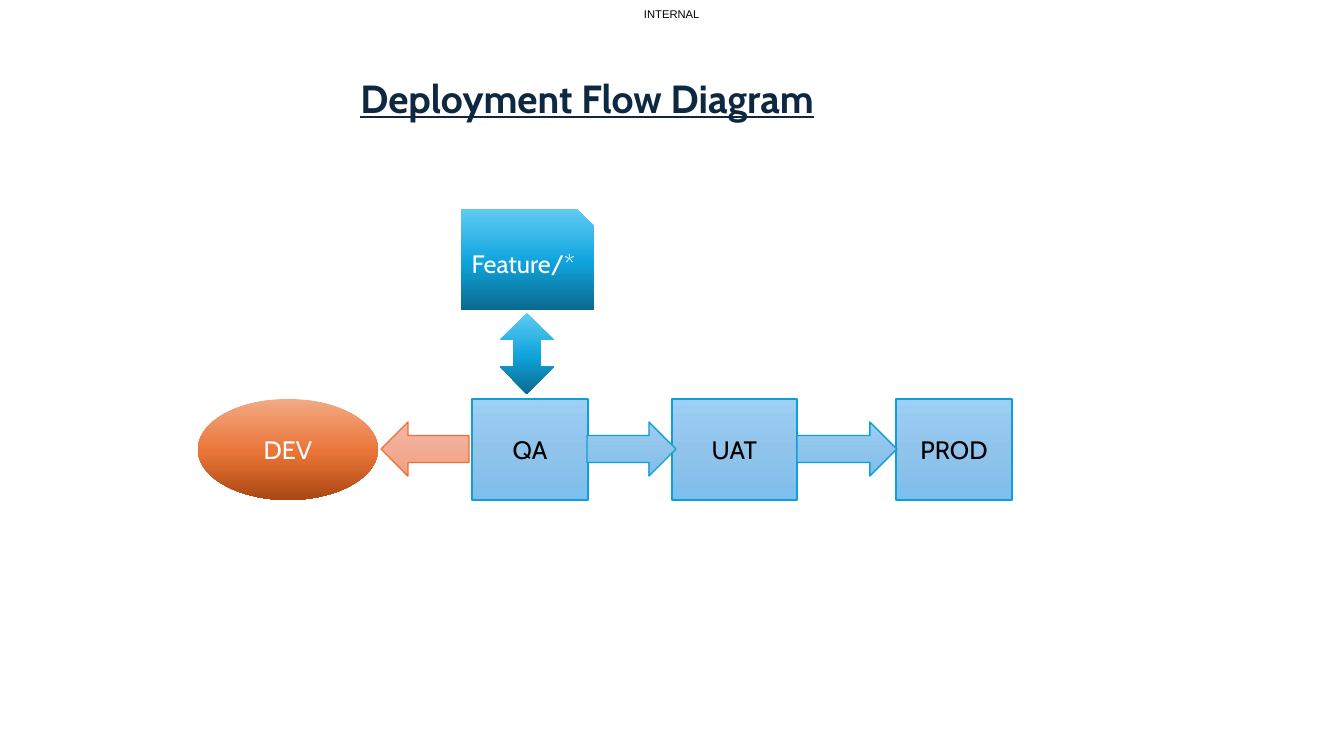
import copy

import pptx
import pptx.dml.color
import pptx.enum.shapes
import pptx.enum.text
import pptx.oxml.ns
import pptx.util

SCALE = 914400 / 100.8
KIND = pptx.enum.shapes.MSO_SHAPE
ALIGN = pptx.enum.text.PP_ALIGN
ANCHOR = pptx.enum.text.MSO_ANCHOR

PALE_BLUE = [(0, "9ECFF5"), (0.5, "90C4EB"), (1, "7CBEED")]
PALE_ORANGE = [(0, "F5B8A5"), (0.5, "F2AB96"), (1, "F59E82")]
DEEP_BLUE = [(0, "61CBF4"), (0.52, "10A4DD"), (1, "0A6A8F")]
DEEP_ORANGE = [(0, "F2AA84"), (0.52, "EA7538"), (1, "AB4712")]
BLUE_LINE = "0F9ED5"
ORANGE_LINE = "E97132"


def px(length):
    return pptx.util.Emu(round(length * SCALE))


def colour(code):
    return pptx.dml.color.RGBColor.from_string(code)


def place(shape, box):
    shape.left, shape.top, shape.width, shape.height = map(px, box)


def write(shape, words, size, code, font="Cabin", align=ALIGN.CENTER):
    para = shape.text_frame.paragraphs[0]
    para.alignment = align
    span = para.add_run()
    span.text = words
    span.font.name = font
    span.font.size = pptx.util.Pt(size)
    span.font.color.rgb = colour(code)
    return span


def paint(shape, stops):
    fill = shape.fill
    fill.gradient()
    fill.gradient_angle = 270
    stop_list = next(shape._element.spPr.iter(pptx.oxml.ns.qn("a:gsLst")))
    stop_list.append(copy.deepcopy(stop_list[-1]))
    for stop, (position, code) in zip(fill.gradient_stops, stops):
        stop.position = position
        stop.color.rgb = colour(code)


def add_block(page, kind, box, stops, line=None, words="", ink="000000"):
    shape = page.shapes.add_shape(kind, *map(px, box))
    shape.shadow.inherit = False
    paint(shape, stops)
    if line:
        shape.line.color.rgb = colour(line)
        shape.line.width = pptx.util.Pt(1)
    else:
        shape.line.fill.background()
    if words:
        shape.text_frame.word_wrap = True
        shape.text_frame.vertical_anchor = ANCHOR.MIDDLE
        write(shape, words, 18, ink)


def add_label(page, box):
    label = page.shapes.add_textbox(*map(px, box))
    frame = label.text_frame
    frame.margin_left = frame.margin_right = 0
    frame.margin_top = frame.margin_bottom = 0
    frame.word_wrap = False
    write(label, "INTERNAL", 8, "000000", "Arial", ALIGN.LEFT)


def add_title(page, box):
    title = page.shapes.title
    place(title, box)
    title.text_frame.auto_size = pptx.enum.text.MSO_AUTO_SIZE.NONE
    title.text_frame.vertical_anchor = ANCHOR.TOP
    span = write(title, "Deployment Flow Diagram", 28, "0E2841")
    span.font.bold = True
    span.font.underline = True


def add_environments(page, box):
    left, top, width, height = box
    for offset, breadth, words in [(274, 116, "QA"), (698, 116, "PROD"), (474, 125, "UAT")]:
        add_block(page, KIND.RECTANGLE, (left + offset, top, breadth, height),
                  PALE_BLUE, BLUE_LINE, words)
    add_block(page, KIND.OVAL, (left, top, 180, height), DEEP_ORANGE,
              words="DEV", ink="FFFFFF")
    arrows = [
        (KIND.RIGHT_ARROW, 389, 89, PALE_BLUE, BLUE_LINE),
        (KIND.RIGHT_ARROW, 599, 100, PALE_BLUE, BLUE_LINE),
        (KIND.LEFT_ARROW, 183, 88, PALE_ORANGE, ORANGE_LINE),
    ]
    for kind, offset, breadth, stops, line in arrows:
        add_block(page, kind, (left + offset, top + 23, breadth, 54), stops, line)


def add_feature(page, box):
    left, top, width, height = box
    add_block(page, KIND.SNIP_1_RECTANGLE, (left, top, width, 101), DEEP_BLUE,
              words="Feature/*", ink="FFFFFF")
    add_block(page, KIND.UP_DOWN_ARROW, (left + 39, top + height - 81, 54, 81), DEEP_BLUE)


def main():
    deck = pptx.Presentation()
    deck.slide_width, deck.slide_height = px(1344), px(756)
    page = deck.slides.add_slide(deck.slide_layouts[5])
    add_label(page, (644, 7, 58, 13))
    add_environments(page, (198, 399, 814, 101))
    add_feature(page, (461, 209, 133, 185))
    add_title(page, (251, 69, 672, 57))
    deck.save("out.pptx")


if __name__ == "__main__":
    main()
